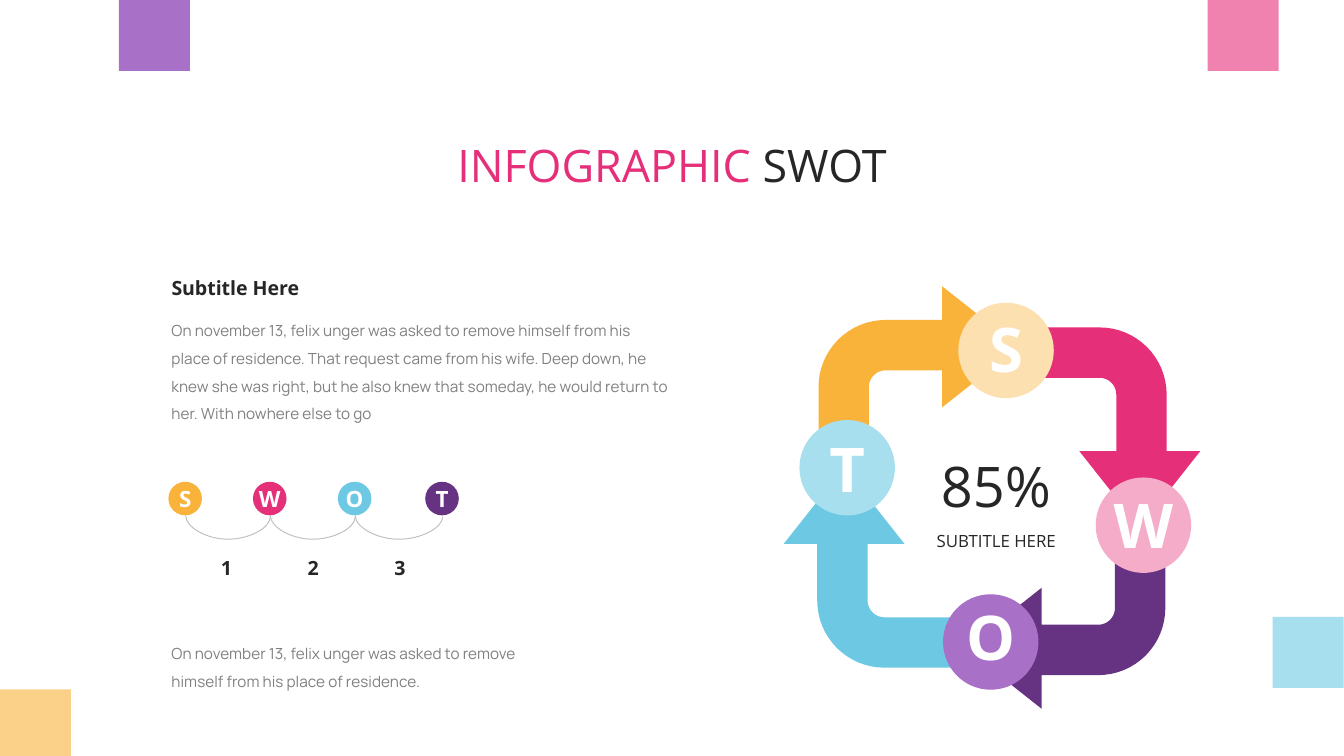
import math
from dataclasses import dataclass
from itertools import pairwise

import pptx
import pptx.util
import pptx.dml.color
import pptx.enum.shapes
import pptx.enum.text
from pptx.oxml import parse_xml
from pptx.oxml.ns import nsdecls

Pt = pptx.util.Pt
Shape = pptx.enum.shapes.MSO_SHAPE
Align = pptx.enum.text.PP_ALIGN


@dataclass(frozen=True)
class Theme:
    head: str = "Open Sans"
    body: str = "Manrope"
    ink: str = "262626"
    gray: str = "808080"
    rule: str = "BFBFBF"
    white: str = "FFFFFF"
    gold: str = "F9B23A"
    pink: str = "E62F79"
    plum: str = "663282"
    blue: str = "6DC9E3"
    cream: str = "FDE0B0"
    rose: str = "F5ACC9"
    lilac: str = "A970C8"
    sky: str = "A7DFEE"
    sand: str = "FBD189"
    coral: str = "F082AF"
    title: float = 24
    value: float = 30
    sub: float = 10.5
    note: float = 9
    small: float = 8.25
    big: float = 33
    mini: float = 12


T = Theme()


@dataclass(frozen=True)
class Box:
    left: float
    top: float
    width: float
    height: float


@dataclass(frozen=True)
class Run:
    text: str
    size: float
    color: str = T.ink
    font: str = T.head
    bold: bool = False


@dataclass(frozen=True)
class Label:
    box: Box
    run: Run
    align: Align = Align.LEFT
    space: float = 1


@dataclass(frozen=True)
class Disc:
    box: Box
    fill: str
    run: Run
    lift: float = 0


@dataclass(frozen=True)
class Arrow:
    tip: tuple[float, float]
    turns: int
    fill: str


def rgb(code: str):
    return pptx.dml.color.RGBColor.from_string(code)


def paint(shape, code: str) -> None:
    shape.shadow.inherit = False
    shape.fill.solid()
    shape.fill.fore_color.rgb = rgb(code)
    shape.line.fill.background()


def write(frame, runs: list[Run], align: Align, space: float = 1) -> None:
    frame.vertical_anchor = pptx.enum.text.MSO_ANCHOR.MIDDLE
    para = frame.paragraphs[0]
    para.alignment = align
    para.line_spacing = space
    for item in runs:
        run = para.add_run()
        run.text = item.text
        run.font.name = item.font
        run.font.size = Pt(item.size)
        run.font.bold = item.bold
        run.font.color.rgb = rgb(item.color)


def place(box: Box) -> tuple:
    return Pt(box.left), Pt(box.top), Pt(box.width), Pt(box.height)


def add_label(slide, label: Label) -> None:
    frame = slide.shapes.add_textbox(*place(label.box)).text_frame
    frame.word_wrap = True
    write(frame, [label.run], label.align, label.space)


def add_disc(slide, disc: Disc) -> None:
    """Draw a circle with its letter, raised by lift points."""
    shape = slide.shapes.add_shape(Shape.OVAL, *place(disc.box))
    paint(shape, disc.fill)
    frame = shape.text_frame
    frame.word_wrap = False
    frame.margin_left = frame.margin_right = frame.margin_top = 0
    frame.margin_bottom = Pt(2 * disc.lift)
    write(frame, [disc.run], Align.CENTER)


def bend(radius: float, start: int, end: int) -> list[tuple[float, float]]:
    """Points on the arrow's elbow, with angles in degrees."""
    steps = 16
    angles = [math.radians(start + (end - start) * i / steps) for i in range(steps + 1)]
    return [(-71.3 + radius * math.cos(a), 21.6 + radius * math.sin(a)) for a in angles]


def add_arrow(slide, arrow: Arrow) -> None:
    """Draw the bent arrow, turned clockwise about its tip by quarters."""
    points = [(0, 0), (-41, -32.4), (-41, -14.4), *bend(36, 270, 180),
              (-107.3, 58), (-80.3, 58), *bend(9, 180, 270), (-41, 12.6), (-41, 32.4)]
    for _ in range(arrow.turns):
        points = [(-y, x) for x, y in points]
    left, top = arrow.tip
    spots = [(Pt(left + x), Pt(top + y)) for x, y in points]
    path = slide.shapes.build_freeform(*spots[0])
    path.add_line_segments(spots[1:], close=True)
    paint(path.convert_to_shape(), arrow.fill)


def add_swag(slide, start: float, end: float, top: float) -> None:
    """Hang a curved connector between two points on one level."""
    mid, span, thick = (start + end) / 2, end - start, 0.72
    line = slide.shapes.add_connector(
        pptx.enum.shapes.MSO_CONNECTOR.CURVE,
        Pt(mid - thick / 2), Pt(top - span / 2), Pt(mid + thick / 2), Pt(top + span / 2))
    line.line.color.rgb = rgb(T.rule)
    line.line.width = Pt(0.5)
    props = line._element.spPr
    props.xfrm.set("rot", "16200000")
    props.xfrm.set("flipH", "1")
    geom = props.prstGeom
    for old in list(geom):
        geom.remove(old)
    geom.append(parse_xml(
        f'<a:avLst {nsdecls("a")}><a:gd name="adj1" fmla="val 1800000"/></a:avLst>'))
    props.append(parse_xml(f'<a:effectLst {nsdecls("a")}/>'))


ARROWS = [Arrow((545.8, 185.8), 0, T.gold), Arrow((610.6, 282.7), 1, T.pink),
          Arrow((517, 347.3), 2, T.plum), Arrow((452.2, 250.4), 3, T.blue)]
RING = [("S", 513.4, 162.2, T.cream, 1.3), ("W", 587, 255.8, T.rose, 0.7),
        ("O", 505.2, 318.4, T.lilac, 3.3), ("T", 428.3, 225, T.sky, 0)]
STEPS = [("S", 99.2, T.gold), ("W", 144.5, T.pink), ("O", 190, T.blue), ("T", 236.8, T.plum)]
SQUARES = [(0, 369.3, T.sand), (647, 0, T.coral), (681.8, 330.5, T.sky), (63.7, 0, T.lilac)]
LONG = ("On november 13, felix unger was asked to remove himself from his place of "
        "residence. That request came from his wife. Deep down, he knew she was right, "
        "but he also knew that someday, he would return to her. With nowhere else to go")
SHORT = "On november 13, felix unger was asked to remove himself from his place of residence."
LABELS = [
    Label(Box(84.8, 144.2, 99.4, 20.2), Run("Subtitle Here", T.sub, bold=True)),
    Label(Box(84.8, 164.2, 280.8, 65.5), Run(LONG, T.small, T.gray, T.body), space=1.5),
    Label(Box(488.2, 238, 90.7, 43.9), Run("85%", T.value), Align.CENTER),
    Label(Box(484, 280.8, 99.4, 18), Run("SUBTITLE HERE", T.note), Align.CENTER),
    Label(Box(84.8, 337.2, 199.4, 36), Run(SHORT, T.small, T.gray, T.body), space=1.5),
    *[Label(Box(106.9 + 46.5 * i, 294, 28.8, 20.2), Run(str(i + 1), T.sub, bold=True),
            Align.CENTER) for i in range(3)],
]


def main() -> None:
    deck = pptx.Presentation()
    deck.slide_width, deck.slide_height = Pt(720), Pt(405)
    slide = deck.slides.add_slide(deck.slide_layouts[5])

    title = slide.shapes.title
    title.left, title.top, title.width, title.height = place(Box(202, 70.2, 316, 36))
    title.text_frame.auto_size = pptx.enum.text.MSO_AUTO_SIZE.NONE
    write(title.text_frame, [Run("INFOGRAPHIC", T.title, T.pink), Run(" SWOT", T.title)],
          Align.CENTER)

    for arrow in ARROWS:
        add_arrow(slide, arrow)
    for text, left, top, fill, lift in RING:
        run = Run(text, T.big, T.white, bold=True)
        add_disc(slide, Disc(Box(left, top, 51.1, 51.1), fill, run, lift))
    for text, mid, fill in STEPS:
        run = Run(text, T.mini, T.white, bold=True)
        add_disc(slide, Disc(Box(mid - 9, 258.1, 18, 18), fill, run))
    for (_, start, _), (_, end, _) in pairwise(STEPS):
        add_swag(slide, start + 0.3, end + 0.3, 276.5)
    for label in LABELS:
        add_label(slide, label)
    for left, top, fill in SQUARES:
        paint(slide.shapes.add_shape(Shape.RECTANGLE, *place(Box(left, top, 38, 38))), fill)

    deck.save("out.pptx")


if __name__ == "__main__":
    main()
